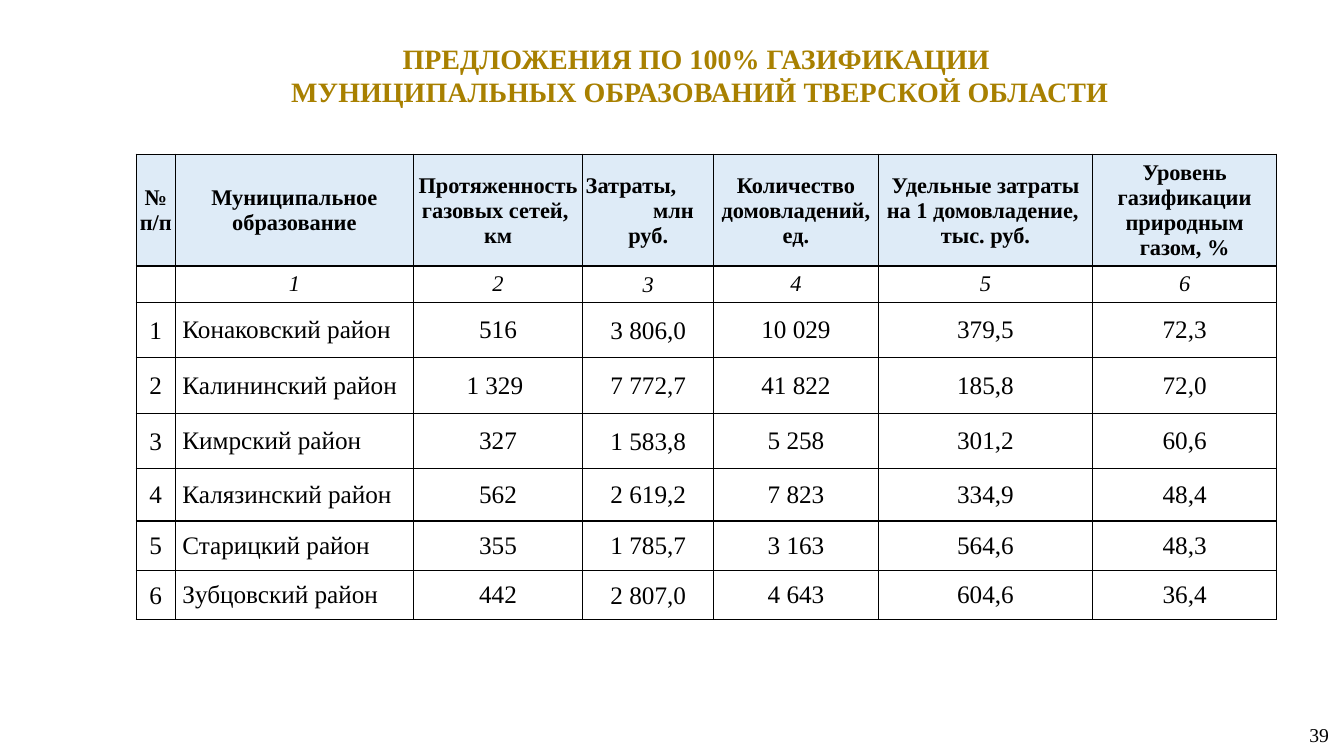
from dataclasses import dataclass

from lxml import etree
from pptx import Presentation
from pptx.dml.color import RGBColor
from pptx.enum import text as t
from pptx.oxml import ns
from pptx.util import Inches, Pt

FONT = "Times New Roman"
BLACK = RGBColor(0x00, 0x00, 0x00)
GOLD = RGBColor(0xA8, 0x80, 0x00)
PALE_BLUE = RGBColor(0xDE, 0xEB, 0xF7)
CENTER, LEFT, RIGHT = t.PP_ALIGN.CENTER, t.PP_ALIGN.LEFT, t.PP_ALIGN.RIGHT
NUMBER_COL, NAME_COL, COST_COL = 0, 1, 3


@dataclass(frozen=True)
class Line:
    text: str
    align: t.PP_ALIGN = CENTER
    indent: float = 0


@dataclass(frozen=True)
class Style:
    size: int
    color: RGBColor = BLACK
    bold: bool = False
    italic: bool = False


@dataclass(frozen=True)
class Column:
    width: float
    heading: tuple[Line, ...]


@dataclass(frozen=True)
class District:
    height: float
    values: tuple[str, ...]


TITLE = Style(20, GOLD, bold=True)
HEADING = Style(16, bold=True)
INDEX = Style(16, italic=True)
BODY = Style(18)
PAGE = Style(14)

COLUMNS = (
    Column(0.39, (Line("№ п/п"),)),
    Column(2.36, (Line("Муниципальное образование"),)),
    Column(1.68, (Line("Протяженность газовых сетей, "), Line("км"))),
    Column(1.3, (Line("Затраты,", LEFT, 0.02), Line("млн", CENTER, 0.5), Line("руб."))),
    Column(1.63, (Line("Количество домовладений, ед."),)),
    Column(2.13, (Line("Удельные затраты"), Line("на 1 домовладение, "), Line("тыс. руб."))),
    Column(1.82, (Line("Уровень газификации природным газом, %"),)),
)
HEADING_HEIGHT, INDEX_HEIGHT = 1.11, 0.36
DISTRICTS = (
    District(0.55, ("Конаковский район", "516", "3 806,0", "10 029", "379,5", "72,3")),
    District(0.55, ("Калининский район", "1 329 ", "7 772,7", "41 822", "185,8", "72,0")),
    District(0.55, ("Кимрский район", "327", "1 583,8", "5 258", "301,2", "60,6")),
    District(0.52, ("Калязинский район", "562", "2 619,2", "7 823", "334,9", "48,4")),
    District(0.49, ("Старицкий район", "355", "1 785,7", "3 163", "564,6", "48,3")),
    District(0.49, ("Зубцовский район", "442", "2 807,0", "4 643", "604,6", "36,4")),
)


def write(tf, lines: tuple[Line, ...], style: Style) -> None:
    tf.word_wrap = True
    for i, line in enumerate(lines):
        p = tf.paragraphs[0] if i == 0 else tf.add_paragraph()
        p.text = line.text
        p.alignment = line.align
        if line.indent:
            p._p.get_or_add_pPr().set("marL", str(Inches(line.indent)))
        p.font.name = FONT
        p.font.size = Pt(style.size)
        p.font.bold = style.bold
        p.font.italic = style.italic
        p.font.color.rgb = style.color


def add_borders(cell) -> None:
    tcPr = cell._tc.get_or_add_tcPr()
    for side in ("lnL", "lnR", "lnT", "lnB"):
        ln = etree.SubElement(tcPr, ns.qn(f"a:{side}"), w=str(Pt(1)))
        fill = etree.SubElement(ln, ns.qn("a:solidFill"))
        etree.SubElement(fill, ns.qn("a:srgbClr"), val=str(BLACK))


def fill_cell(cell, lines: tuple[Line, ...], style: Style, tight: bool) -> None:
    cell.vertical_anchor = t.MSO_ANCHOR.MIDDLE
    cell.margin_left = cell.margin_right = Inches(0.01 if tight else 0.07)
    cell.margin_top = Inches(0.01 if tight else 0)
    cell.margin_bottom = 0
    add_borders(cell)
    if style is HEADING:
        cell.fill.solid()
        cell.fill.fore_color.rgb = PALE_BLUE
    else:
        cell.fill.background()
    write(cell.text_frame, lines, style)


def add_districts_table(s) -> None:
    heights = [HEADING_HEIGHT, INDEX_HEIGHT] + [d.height for d in DISTRICTS]
    table = s.shapes.add_table(
        len(heights), len(COLUMNS), Inches(1.35), Inches(1.53),
        Inches(sum(c.width for c in COLUMNS)), Inches(sum(heights)),
    ).table
    table.first_row = table.horz_banding = False
    for row, height in zip(table.rows, heights):
        row.height = Inches(height)
    for c, column in enumerate(COLUMNS):
        table.columns[c].width = Inches(column.width)
        tight = c in (NUMBER_COL, COST_COL)
        fill_cell(table.cell(0, c), column.heading, HEADING, True)
        fill_cell(table.cell(1, c), (Line(str(c) if c else ""),), INDEX, tight)
        for n, district in enumerate(DISTRICTS, 1):
            value = (str(n), *district.values)[c]
            line = Line(value, LEFT if c == NAME_COL else CENTER)
            fill_cell(table.cell(n + 1, c), (line,), BODY, tight)


def add_title(s) -> None:
    sp = s.shapes.title
    sp.left, sp.top = Inches(1.21), Inches(0.36)
    sp.width, sp.height = Inches(11.46), Inches(0.77)
    tf = sp.text_frame
    tf.vertical_anchor = t.MSO_ANCHOR.TOP
    tf.auto_size = t.MSO_AUTO_SIZE.NONE
    write(tf, (
        Line("ПРЕДЛОЖЕНИЯ ПО 100% ГАЗИФИКАЦИИ "),
        Line("МУНИЦИПАЛЬНЫХ ОБРАЗОВАНИЙ ТВЕРСКОЙ ОБЛАСТИ"),
    ), TITLE)


def add_page_number(s) -> None:
    sp = s.shapes.add_textbox(Inches(10.57), Inches(6.98), Inches(2.71), Inches(0.61))
    tf = sp.text_frame
    tf.vertical_anchor = t.MSO_ANCHOR.MIDDLE
    write(tf, (Line("39", RIGHT),), PAGE)


def main() -> None:
    prs = Presentation()
    prs.slide_width, prs.slide_height = Inches(13.33), Inches(7.5)
    s = prs.slides.add_slide(prs.slide_layouts.get_by_name("Title Only"))
    add_title(s)
    add_districts_table(s)
    add_page_number(s)
    prs.save("out.pptx")


if __name__ == "__main__":
    main()
